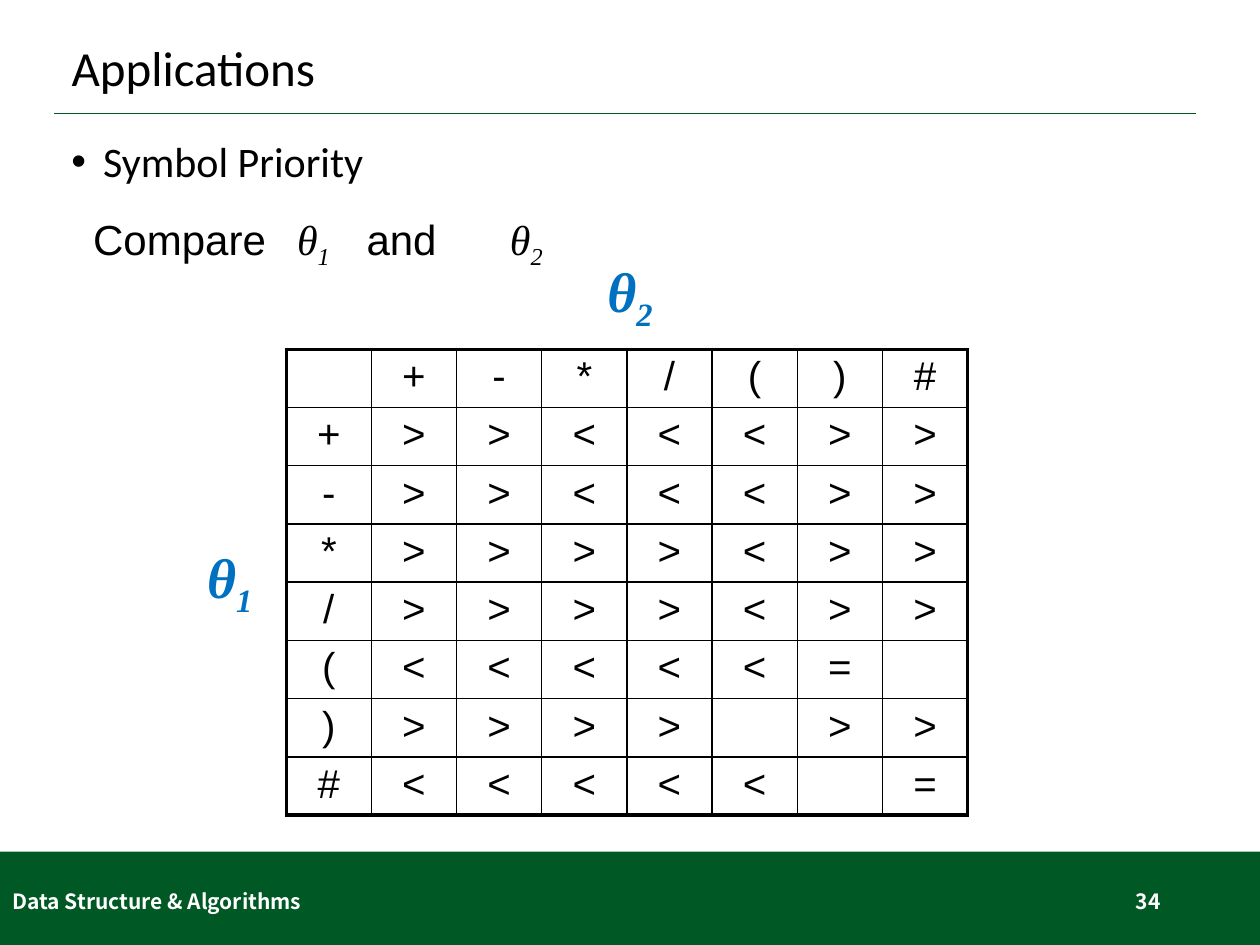
import dataclasses

import pptx
import pptx.dml.color
import pptx.enum.shapes
import pptx.enum.text
import pptx.oxml
import pptx.oxml.ns
import pptx.util

Cm = pptx.util.Cm
Pt = pptx.util.Pt
ALIGN = pptx.enum.text.PP_ALIGN
ANCHOR = pptx.enum.text.MSO_ANCHOR


@dataclasses.dataclass(frozen=True)
class Theme:
    ink: str = "000000"
    green: str = "005825"
    blue: str = "0070C0"
    white: str = "FFFFFF"
    heading_font: str = "Calibri"
    plain_font: str = "Arial"
    math_font: str = "Times New Roman"
    footer_font: str = "Noto Sans CJK SC"
    title_size: float = 28
    body_size: float = 24
    cell_size: float = 23
    axis_size: float = 32
    footer_size: float = 12
    thin: float = 1
    thick: float = 2.25


THEME = Theme()
OPERATORS = "+-*/()#"
# One string per operator on the left; a space is an undefined pair
PRIORITIES = [">><<<>>", ">><<<>>", ">>>><>>", ">>>><>>",
              "<<<<<= ", ">>>> >>", "<<<<< ="]


def rgb(value):
    return pptx.dml.color.RGBColor.from_string(value)


def write(frame, text, *, subscript="", font=THEME.plain_font, size=THEME.body_size,
          color=THEME.ink, bold=False, italic=False, align=ALIGN.LEFT,
          spacing=None, bullet=None, hang=Cm(0.64)):
    """Fill a text frame with one formatted paragraph."""
    paragraph = frame.paragraphs[0]
    paragraph.alignment = align
    if spacing:
        paragraph.line_spacing = spacing
    if bullet:
        properties = paragraph._p.get_or_add_pPr()
        properties.set("marL", str(hang))
        properties.set("indent", str(-hang))
        properties.append(pptx.oxml.parse_xml(
            f'<a:buFont {pptx.oxml.ns.nsdecls("a")} typeface="{THEME.plain_font}"/>'))
        properties.append(pptx.oxml.parse_xml(
            f'<a:buChar {pptx.oxml.ns.nsdecls("a")} char="{bullet}"/>'))
    for part, baseline in ((text, None), (subscript, "-25000")):
        if not part:
            continue
        run = paragraph.add_run()
        run.text = part
        run.font.name = font
        run.font.size = Pt(size)
        run.font.bold = bold
        run.font.italic = italic
        run.font.color.rgb = rgb(color)
        if baseline:
            run.font._element.set("baseline", baseline)


def add_text(slide, left, top, width, height, text, *, anchor=ANCHOR.TOP,
             wrap=True, **style):
    frame = slide.shapes.add_textbox(left, top, width, height).text_frame
    frame.word_wrap = wrap
    frame.vertical_anchor = anchor
    write(frame, text, **style)


def add_heading(slide, left, top, width, height):
    """Title with the green rule below it."""
    title = slide.shapes.title
    title.left, title.top, title.width, title.height = left, top, width, height
    title.text_frame.vertical_anchor = ANCHOR.MIDDLE
    write(title.text_frame, "Applications", font=THEME.heading_font,
          size=THEME.title_size, spacing=0.9)
    rule_y = top + height + Cm(0.03)
    rule = slide.shapes.add_connector(
        pptx.enum.shapes.MSO_CONNECTOR.STRAIGHT,
        left - Cm(0.1), rule_y, left + width - Cm(0.1), rule_y)
    rule.line.color.rgb = rgb(THEME.green)
    rule.line.width = Pt(THEME.thin)
    rule._element.spPr.append(pptx.oxml.parse_xml(
        f'<a:effectLst {pptx.oxml.ns.nsdecls("a")}/>'))


def add_comparison(slide, left, top, width, height):
    """The line naming the two operators, in boxes along one row."""
    add_text(slide, left, top, Cm(4.04), height, "Compare",
             align=ALIGN.RIGHT, wrap=False)
    add_text(slide, left + Cm(5.57), top, Cm(1.93), height, "and", wrap=False)
    for offset, box_width, index in ((4.17, 2, "1"), (8.46, 3, "2")):
        add_text(slide, left + Cm(offset), top, Cm(box_width), height, "θ",
                 subscript=index, font=THEME.math_font, italic=True)


def add_border(cell, sides):
    """Draw cell edges; sides gives widths in the order left, right, top, bottom."""
    properties = cell._tc.get_or_add_tcPr()
    for position, (side, width) in enumerate(zip("LRTB", sides)):
        properties.insert(position, pptx.oxml.parse_xml(
            f'<a:ln{side} {pptx.oxml.ns.nsdecls("a")} w="{Pt(width)}">'
            f'<a:solidFill><a:srgbClr val="{THEME.ink}"/></a:solidFill></a:ln{side}>'))


def add_priority_table(slide, left, top, width, height):
    """Operator grid with its two axis labels."""
    rows = [" " + OPERATORS] + [
        head + signs for head, signs in zip(OPERATORS, PRIORITIES)]
    count = len(rows)
    last = count - 1
    table = slide.shapes.add_table(count, count, left, top, width, height).table
    table.first_row = table.horz_banding = False
    for line in table.columns:
        line.width = width // count
    for line in table.rows:
        line.height = height // count

    for r, signs in enumerate(rows):
        for c, sign in enumerate(signs):
            cell = table.cell(r, c)
            cell.fill.background()
            cell.margin_left = cell.margin_right = Cm(0.2)
            cell.margin_top = cell.margin_bottom = Cm(0.1)
            outer = (c == 0, c == last, r == 0, r == last)
            add_border(cell, [THEME.thick if edge else THEME.thin for edge in outer])
            if sign != " ":
                write(cell.text_frame, sign, size=THEME.cell_size, align=ALIGN.CENTER)

    # Axis labels: left operator, then right operator
    for dx, dy, label_width, index in ((-2.14, 3.78, 2, "1"), (5.43, -1.99, 3, "2")):
        add_text(slide, left + Cm(dx), top + Cm(dy), Cm(label_width), Cm(1.63), "θ",
                 subscript=index, font=THEME.math_font, size=THEME.axis_size,
                 color=THEME.blue, bold=True, italic=True, align=ALIGN.CENTER)


def add_footer(slide, left, top, width, height):
    """Green band with course name and page number."""
    band = slide.shapes.add_shape(
        pptx.enum.shapes.MSO_SHAPE.RECTANGLE, left, top, width, height)
    band.shadow.inherit = False
    band.fill.solid()
    band.fill.fore_color.rgb = rgb(THEME.green)
    band.line.fill.background()
    for offset, box_width, text, align in (
            (0, 8.59, "Data Structure & Algorithms", ALIGN.LEFT),
            (17.93, 5.72, "34", ALIGN.RIGHT)):
        add_text(slide, left + Cm(offset), top + Cm(0.48), Cm(box_width), Cm(1.02),
                 text, anchor=ANCHOR.MIDDLE, align=align, font=THEME.footer_font,
                 size=THEME.footer_size, color=THEME.white, bold=True)


def main():
    deck = pptx.Presentation()
    deck.slide_width, deck.slide_height = Cm(25.4), Cm(19.05)
    slide = deck.slides.add_slide(deck.slide_layouts[5])
    add_footer(slide, Cm(0), Cm(17.17), deck.slide_width, Cm(1.88))
    add_heading(slide, Cm(1.19), Cm(0.58), Cm(23.01), Cm(1.68))
    add_text(slide, Cm(1.19), Cm(2.72), Cm(23.01), Cm(14.07), "Symbol Priority",
             font=THEME.heading_font, spacing=0.9, bullet="•")
    add_priority_table(slide, Cm(5.77), Cm(7.04), Cm(13.74), Cm(9.35))
    add_comparison(slide, Cm(1.57), Cm(4.17), Cm(11.46), Cm(1.27))
    deck.save("out.pptx")


if __name__ == "__main__":
    main()
